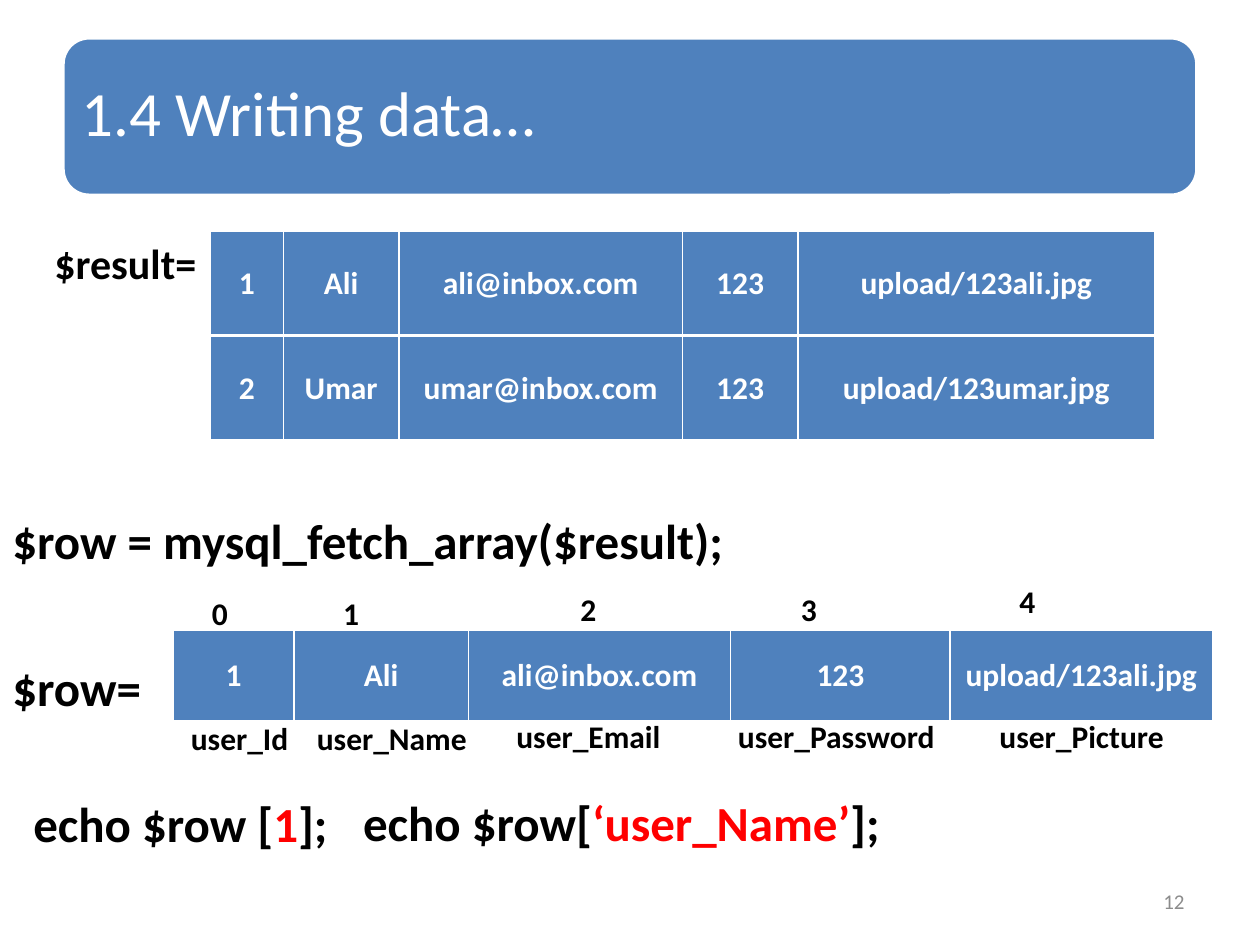
from dataclasses import dataclass

from lxml import etree
from pptx import Presentation
from pptx import util as u
from pptx.dml.color import RGBColor
from pptx.enum import shapes, text
from pptx.oxml.ns import qn

BLUE = RGBColor(0x4F, 0x81, 0xBD)
WHITE = RGBColor(0xFF, 0xFF, 0xFF)
BLACK = RGBColor(0, 0, 0)
RED = RGBColor(0xFF, 0, 0)
GRAY = RGBColor(0x8C, 0x8C, 0x8C)
FONT = "Calibri"
GRID_COLS, GRID_ROWS = 120, 90
BORDERS = {"a:lnL": 1, "a:lnR": 1, "a:lnT": 1, "a:lnB": 3}

prs = Presentation()
prs.slide_width, prs.slide_height = u.Inches(10), u.Inches(7.5)


@dataclass
class Label:
    col: float
    row: float
    width: float
    runs: tuple[str, ...]
    size: int = 18


@dataclass
class Record:
    col: float
    row: float
    height: float
    widths: tuple[float, ...]
    values: tuple[str, ...]


def x(cols: float) -> int:
    return round(prs.slide_width * cols / GRID_COLS)


def y(rows: float) -> int:
    return round(prs.slide_height * rows / GRID_ROWS)


def style(p, size: int, color: RGBColor, bold: bool = True) -> None:
    p.font.name, p.font.size, p.font.bold = FONT, u.Pt(size), bold
    p.font.color.rgb = color


def add_label(s, label: Label) -> None:
    height = 6.8 if label.size == 28 else 4.8
    sp = s.shapes.add_textbox(x(label.col), y(label.row), x(label.width), y(height))
    tf = sp.text_frame
    tf.word_wrap = True
    p = tf.paragraphs[0]
    style(p, label.size, BLACK)
    for i, words in enumerate(label.runs):
        r = p.add_run()
        r.text = words
        r.font.color.rgb = RED if i % 2 else BLACK


def add_borders(cell) -> None:
    tc_pr = cell._tc.get_or_add_tcPr()
    for i, (tag, points) in enumerate(BORDERS.items()):
        ln = etree.Element(qn(tag), w=str(u.Pt(points)))
        fill = etree.SubElement(ln, qn("a:solidFill"))
        etree.SubElement(fill, qn("a:srgbClr"), val=str(WHITE))
        tc_pr.insert(i, ln)


def add_record(s, rec: Record) -> None:
    frame = s.shapes.add_table(1, len(rec.values), x(rec.col), y(rec.row),
                               x(sum(rec.widths)), y(rec.height))
    table = frame.table
    for i, (width, value) in enumerate(zip(rec.widths, rec.values)):
        table.columns[i].width = x(width)
        cell = table.cell(0, i)
        cell.text = value
        cell.vertical_anchor = text.MSO_ANCHOR.MIDDLE
        cell.fill.solid()
        cell.fill.fore_color.rgb = BLUE
        p = cell.text_frame.paragraphs[0]
        p.alignment = text.PP_ALIGN.CENTER
        style(p, 18, WHITE)
        add_borders(cell)


def add_title(s, title: str) -> None:
    box = x(6), y(3.6), x(108), y(15)
    sp = s.shapes.add_shape(shapes.MSO_SHAPE.ROUNDED_RECTANGLE, *box)
    sp.shadow.inherit = False
    sp.fill.solid()
    sp.fill.fore_color.rgb = BLUE
    sp.line.color.rgb, sp.line.width = WHITE, u.Pt(2)

    holder = s.shapes.title
    holder.left, holder.top, holder.width, holder.height = box
    s.shapes._spTree.append(holder._element)
    tf = holder.text_frame
    tf.text = title
    tf.auto_size = text.MSO_AUTO_SIZE.NONE
    tf.vertical_anchor = text.MSO_ANCHOR.MIDDLE
    tf.margin_left = tf.margin_right = tf.margin_top = tf.margin_bottom = u.Inches(0.15)
    p = tf.paragraphs[0]
    p.alignment, p.line_spacing = text.PP_ALIGN.LEFT, 0.9
    style(p, 36, WHITE, bold=False)


def add_page_number(s, number: str) -> None:
    tf = s.shapes.add_textbox(x(86), y(83.4), x(28), y(4.8)).text_frame
    tf.word_wrap = True
    tf.vertical_anchor = text.MSO_ANCHOR.MIDDLE
    tf.text = number
    p = tf.paragraphs[0]
    p.alignment = text.PP_ALIGN.RIGHT
    style(p, 12, GRAY, bold=False)


RESULT_WIDTHS = (7, 11, 27, 11, 34)
ROW_WIDTHS = (11.5, 16.6, 25, 20.9, 25)
ALI = ("1", "Ali", "ali@inbox.com", "123", "upload/123ali.jpg")
UMAR = ("2", "Umar", "umar@inbox.com", "123", "upload/123umar.jpg")

RECORDS = [
    Record(20, 22, 10, RESULT_WIDTHS, ALI),
    Record(20, 32, 10, RESULT_WIDTHS, UMAR),
    Record(16.5, 60, 8.8, ROW_WIDTHS, ALI),
]

LABELS = [
    Label(4, 22, 18, ("$result=",), 24),
    Label(0, 48, 102, ("$row = mysql_fetch_array($result);",), 28),
    Label(0, 62, 19, ("$row=",), 28),
    Label(17, 67.9, 13, ("user_Id",)),
    Label(29, 67.9, 17, ("user_Name",)),
    Label(48, 67.7, 18, ("user_Email",)),
    Label(69.1, 67.7, 22, ("user_Password",)),
    Label(94, 67.7, 20, ("user_Picture",)),
    Label(19, 56, 6, ("0",)),
    Label(31.5, 56, 6, ("1",)),
    Label(54.1, 55.6, 6, ("2",)),
    Label(75.1, 55.6, 6, ("3",)),
    Label(95.9, 54.8, 6, ("4",)),
    Label(2, 75, 32.4, ("echo $row [", "1", "];"), 28),
    Label(33.4, 74.9, 53.4, ("echo $row[", "‘user_Name’", "];"), 28),
]


def main() -> None:
    s = prs.slides.add_slide(prs.slide_layouts[5])
    add_title(s, "1.4 Writing data…")
    add_page_number(s, "12")
    for rec in RECORDS:
        add_record(s, rec)
    for label in LABELS:
        add_label(s, label)
    prs.save("out.pptx")


if __name__ == "__main__":
    main()
